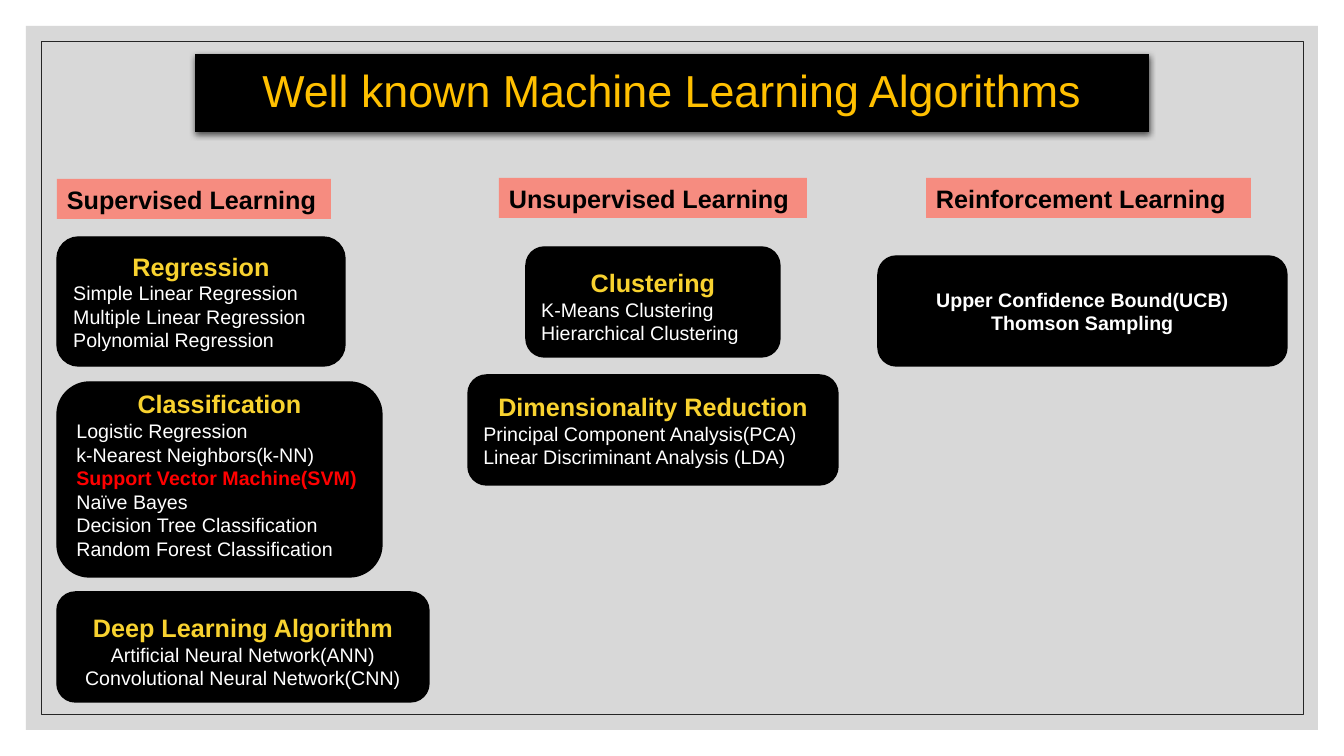
from lxml.etree import SubElement
from pptx import Presentation
from pptx.dml.color import RGBColor
from pptx.enum.shapes import MSO_SHAPE
from pptx.enum.text import MSO_ANCHOR, MSO_AUTO_SIZE, PP_ALIGN
from pptx.oxml import parse_xml
from pptx.oxml.ns import nsdecls, qn
from pptx.util import Emu, Pt

SCALE = 914400 / 100.8  # EMU in one px
BLACK = RGBColor(0x00, 0x00, 0x00)
WHITE = RGBColor(0xFF, 0xFF, 0xFF)
GRAY = RGBColor(0xBF, 0xBF, 0xBF)
DARK = RGBColor(0x26, 0x26, 0x26)
AMBER = RGBColor(0xFF, 0xC0, 0x00)
YELLOW = RGBColor(0xF8, 0xD2, 0x2F)
CORAL = RGBColor(0xF6, 0x8C, 0x80)
RED = RGBColor(0xFF, 0x00, 0x00)
LEFT, CENTER = PP_ALIGN.LEFT, PP_ALIGN.CENTER


def write(frame, text, size=14, color=WHITE, bold=False, align=LEFT):
    """Fill the empty first paragraph, or add one below."""
    para = frame.paragraphs[0] if not frame.text else frame.add_paragraph()
    para.alignment = align
    run = para.add_run()
    run.text = text
    font = run.font
    font.name, font.size, font.bold = "Arial", Pt(size), bold
    font.color.rgb = color
    return para


def draw(kind, area, fill=None, line=None, width=1):
    """Add a flat shape; area is left, top, width, height in px."""
    shape = slide.shapes.add_shape(kind, *(Emu(round(n * SCALE)) for n in area))
    shape.shadow.inherit = False
    if fill is None:
        shape.fill.background()
    else:
        shape.fill.solid()
        shape.fill.fore_color.rgb = fill
    if line is None:
        shape.line.fill.background()
    else:
        shape.line.color.rgb = line
        shape.line.width = Pt(width)
    shape.text_frame.word_wrap = True
    return shape


deck = Presentation()
deck.slide_width, deck.slide_height = Emu(round(1344 * SCALE)), Emu(round(756 * SCALE))
slide = deck.slides.add_slide(deck.slide_layouts[5])

# Backdrop: translucent panel and thin frame
panel = draw(MSO_SHAPE.RECTANGLE, (26, 26, 1292, 704), GRAY)
tint = panel.fill._xPr.find(".//" + qn("a:srgbClr"))
SubElement(tint, qn("a:alpha"), val="60000")
draw(MSO_SHAPE.RECTANGLE, (41, 41, 1262, 673), line=DARK, width=0.5)

# Title, raised above the backdrop, with a soft shadow
title = slide.shapes.title
slide.shapes._spTree.append(title._element)
title.left, title.top, title.width, title.height = (
    Emu(round(n * SCALE)) for n in (195, 54, 954, 78))
title.fill.solid()
title.fill.fore_color.rgb = BLACK
title.text_frame.auto_size = MSO_AUTO_SIZE.NONE
title.text_frame.vertical_anchor = MSO_ANCHOR.MIDDLE
write(title.text_frame, "Well known Machine Learning Algorithms",
      size=32, color=AMBER, align=CENTER).line_spacing = 0.9
title._element.spPr.append(parse_xml(
    f'<a:effectLst {nsdecls("a")}>'
    '<a:outerShdw blurRad="57150" dist="19050" dir="5400000" algn="ctr" rotWithShape="0">'
    '<a:srgbClr val="000000"><a:alpha val="63000"/></a:srgbClr>'
    '</a:outerShdw></a:effectLst>'))

# Column labels
labels = [
    ("Supervised Learning", (57, 179, 274, 40)),
    ("Unsupervised Learning", (499, 178, 308, 40)),
    ("Reinforcement Learning", (926, 178, 325, 40)),
]
for text, area in labels:
    frame = draw(MSO_SHAPE.RECTANGLE, area, CORAL).text_frame
    frame.vertical_anchor = MSO_ANCHOR.TOP
    write(frame, text, size=18, color=BLACK, bold=True)

# Cards: heading, area, downward shift of the text, alignment, items
cards = [
    ("Regression", (57, 237, 288, 129), 0, LEFT,
     ["Simple Linear Regression", "Multiple Linear Regression",
      "Polynomial Regression"]),
    ("Classification", (57, 382, 325, 195), -5, LEFT,
     ["Logistic Regression", "k-Nearest Neighbors(k-NN)",
      "Support Vector Machine(SVM)", "Naïve Bayes",
      "Decision Tree Classification", "Random Forest Classification"]),
    ("Deep Learning Algorithm", (57, 592, 372, 110), 4, CENTER,
     ["Artificial Neural Network(ANN)", "Convolutional Neural Network(CNN)"]),
    ("Clustering", (526, 247, 254, 110), 4, LEFT,
     ["K-Means Clustering", "Hierarchical Clustering"]),
    ("Dimensionality Reduction", (468, 375, 370, 110), 0, LEFT,
     ["Principal Component Analysis(PCA)", "Linear Discriminant Analysis (LDA)"]),
    (None, (878, 256, 409, 110), 0, CENTER,
     ["Upper Confidence Bound(UCB)", "Thomson Sampling"]),
]
for head, area, shift, align, items in cards:
    frame = draw(MSO_SHAPE.ROUNDED_RECTANGLE, area, BLACK, BLACK).text_frame
    frame.vertical_anchor = MSO_ANCHOR.MIDDLE
    frame.margin_top = Emu(round((5 + 2 * max(shift, 0)) * SCALE))
    frame.margin_bottom = Emu(round((5 + 2 * max(-shift, 0)) * SCALE))
    if head:
        write(frame, head, size=18, color=YELLOW, bold=True, align=CENTER)
    for item in items:
        focus = "SVM" in item
        write(frame, item, color=RED if focus else WHITE,
              bold=focus or not head, align=align)

deck.save("out.pptx")
